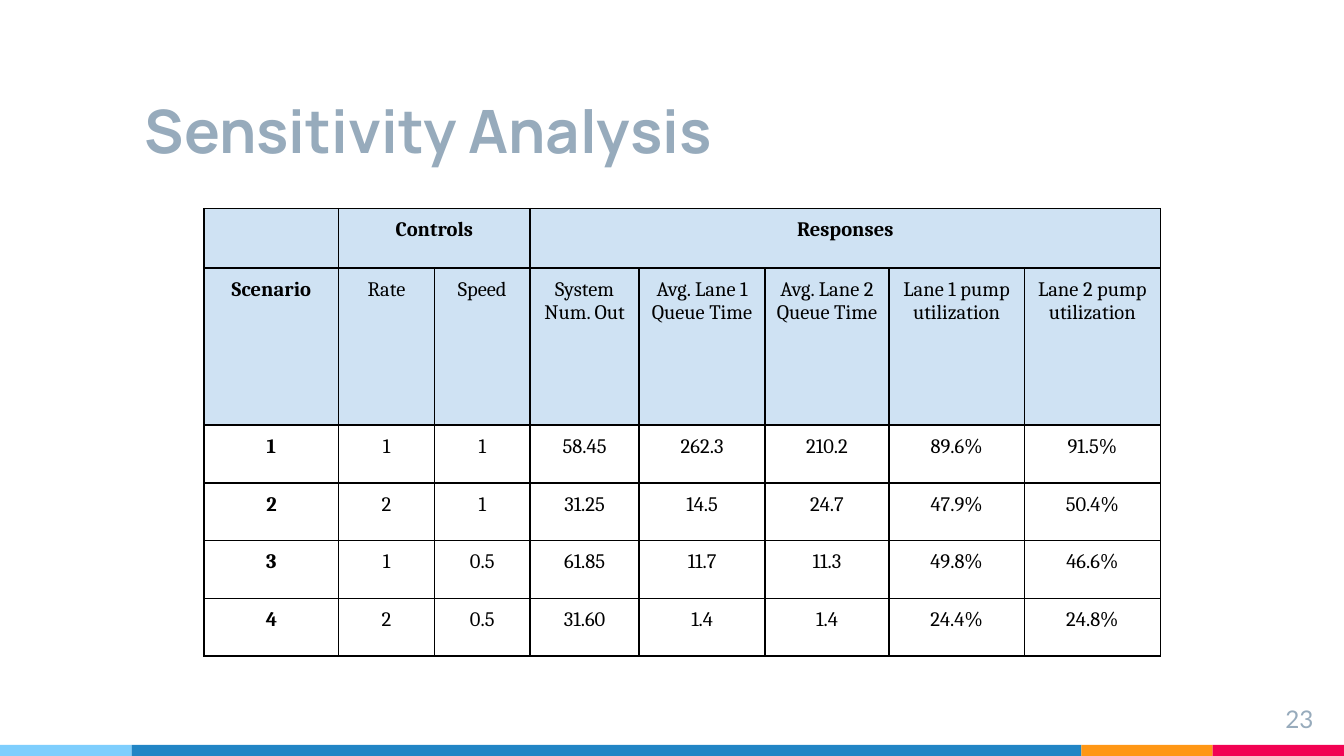
import pptx
import pptx.dml.color
import pptx.enum.shapes
import pptx.enum.text
import pptx.oxml
import pptx.oxml.ns
import pptx.util
from pptx.util import Cm

ALIGN = pptx.enum.text.PP_ALIGN
ANCHOR = pptx.enum.text.MSO_ANCHOR

HEADING = "Sensitivity Analysis"
PAGE = "23"
GROUPS = [("", 1), ("Controls", 2), ("Responses", 5)]
MEASURES = ["Scenario", "Rate", "Speed", "System Num. Out", "Avg. Lane 1 Queue Time",
            "Avg. Lane 2 Queue Time", "Lane 1 pump utilization", "Lane 2 pump utilization"]
SCENARIOS = [
    ["1", "1", "1", "58.45", "262.3", "210.2", "89.6%", "91.5%"],
    ["2", "2", "1", "31.25", "14.5", "24.7", "47.9%", "50.4%"],
    ["3", "1", "0.5", "61.85", "11.7", "11.3", "49.8%", "46.6%"],
    ["4", "2", "0.5", "31.60", "1.4", "1.4", "24.4%", "24.8%"],
]
COLUMN_WIDTHS = [2.54, 1.81, 1.81, 2.06, 2.38, 2.34, 2.56, 2.57]
ROW_HEIGHTS = [1.09, 2.97] + [1.09] * len(SCENARIOS)
STRIPES = [("7ECEFD", 2.49), ("2185C5", 17.95), ("FF9715", 2.48), ("F20253", 2.48)]
STRIPE_TOP, STRIPE_HEIGHT = 14.07, 0.21
HEADER_FILL = "CFE2F3"
SLATE, BLACK = "97ABBC", "000000"


def paint(color_format, value):
    color_format.rgb = pptx.dml.color.RGBColor.from_string(value)


def apply(target, values):
    for name, value in values.items():
        setattr(target, name, value)


def margins(inset):
    return {"margin_" + side: Cm(inset) for side in ("left", "right", "top", "bottom")}


def write(frame, words, align, size, face, color, bold=False):
    paragraph = frame.paragraphs[0]
    paragraph.alignment = align
    run = paragraph.add_run()
    run.text = words
    apply(run.font, {"size": pptx.util.Pt(size), "name": face, "bold": bold})
    paint(run.font.color, color)


def outline(cell):
    properties = cell._tc.get_or_add_tcPr()
    for position, edge in enumerate(("lnL", "lnR", "lnT", "lnB")):
        properties.insert(position, pptx.oxml.parse_xml(
            f'<a:{edge} {pptx.oxml.ns.nsdecls("a")} w="12700"><a:solidFill>'
            f'<a:srgbClr val="{BLACK}"/></a:solidFill></a:{edge}>'))


def add_stripes(slide):
    left = 0
    for color, width in STRIPES:
        stripe = slide.shapes.add_shape(
            pptx.enum.shapes.MSO_SHAPE.RECTANGLE,
            Cm(left), Cm(STRIPE_TOP), Cm(width), Cm(STRIPE_HEIGHT))
        stripe.shadow.inherit = False
        stripe.fill.solid()
        paint(stripe.fill.fore_color, color)
        stripe.line.fill.background()
        left += width


def add_heading(slide):
    heading = slide.shapes.title
    apply(heading, {"left": Cm(2.49), "top": Cm(0.99), "width": Cm(17.96), "height": Cm(2.39)})
    apply(heading.text_frame, {"vertical_anchor": ANCHOR.BOTTOM, "word_wrap": True, **margins(0.25)})
    write(heading.text_frame, HEADING, ALIGN.LEFT, 32, "Manrope", SLATE, True)


def add_page(slide):
    page = slide.shapes.add_textbox(Cm(23.55), Cm(13.06), Cm(1.52), Cm(0.86))
    apply(page.text_frame, {"word_wrap": True, **margins(0.25)})
    write(page.text_frame, PAGE, ALIGN.RIGHT, 13, "Lato", SLATE)


def add_results(slide):
    group_row = [label for name, span in GROUPS for label in [name] + [""] * (span - 1)]
    rows = [group_row, MEASURES] + SCENARIOS
    results = slide.shapes.add_table(
        len(rows), len(MEASURES), Cm(3.86), Cm(3.94),
        Cm(sum(COLUMN_WIDTHS)), Cm(sum(ROW_HEIGHTS))).table
    apply(results, {"first_row": False, "horz_banding": False})
    for column, width in zip(results.columns, COLUMN_WIDTHS):
        column.width = Cm(width)
    for row, height in zip(results.rows, ROW_HEIGHTS):
        row.height = Cm(height)
    for r, labels in enumerate(rows):
        for c, label in enumerate(labels):
            cell = results.cell(r, c)
            apply(cell, margins(0.18))
            write(cell.text_frame, label, ALIGN.CENTER, 11, "Cambria", BLACK, r == 0 or c == 0)
            if r < 2:
                cell.fill.solid()
                paint(cell.fill.fore_color, HEADER_FILL)
            else:
                cell.fill.background()
            outline(cell)
    start = 0
    for name, span in GROUPS:
        if span > 1:
            results.cell(0, start).merge(results.cell(0, start + span - 1))
        start += span


def main():
    deck = pptx.Presentation()
    apply(deck, {"slide_width": Cm(25.4), "slide_height": Cm(14.28)})
    slide = deck.slides.add_slide(deck.slide_layouts[5])
    add_stripes(slide)
    add_heading(slide)
    add_page(slide)
    add_results(slide)
    deck.save("out.pptx")


if __name__ == "__main__":
    main()
